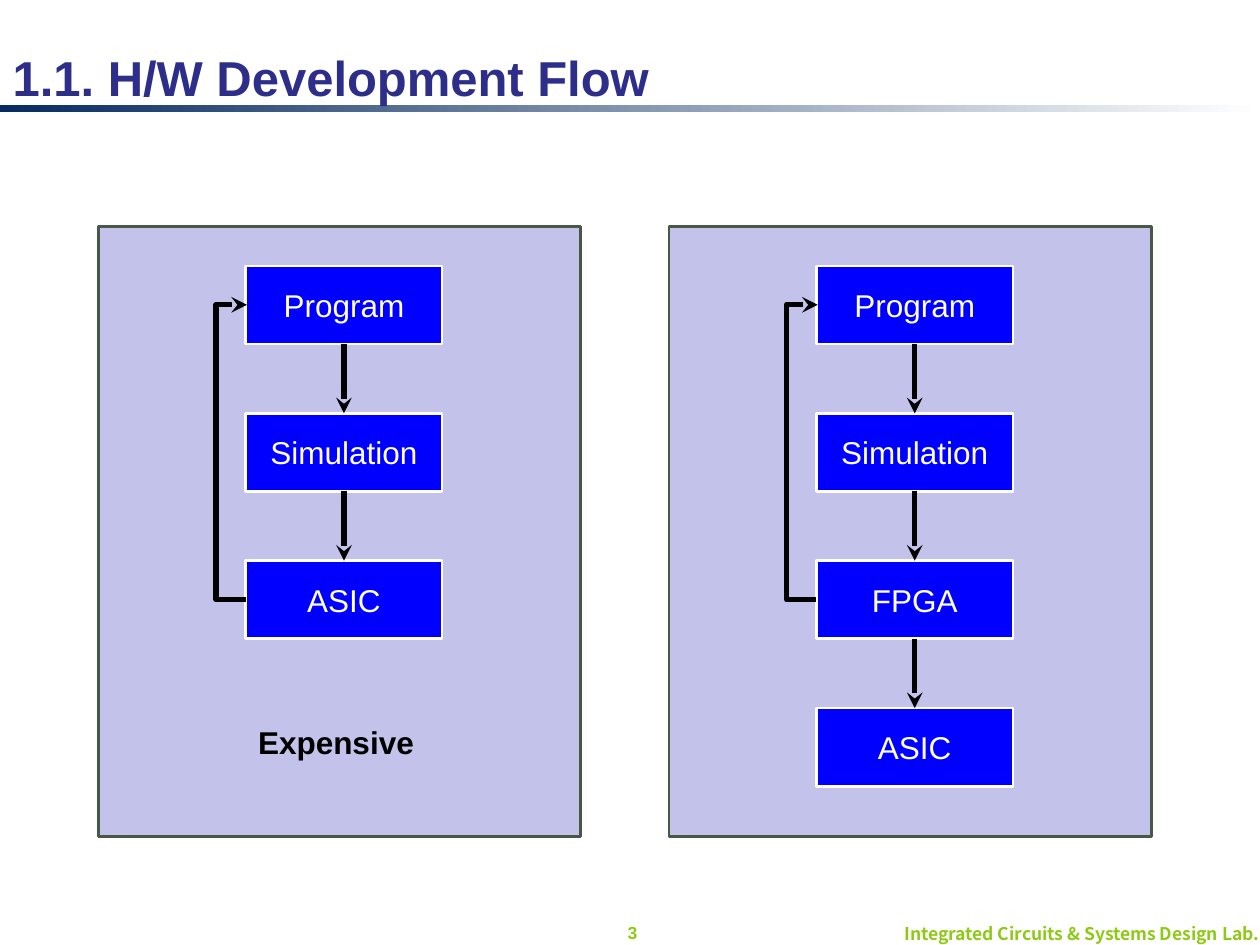
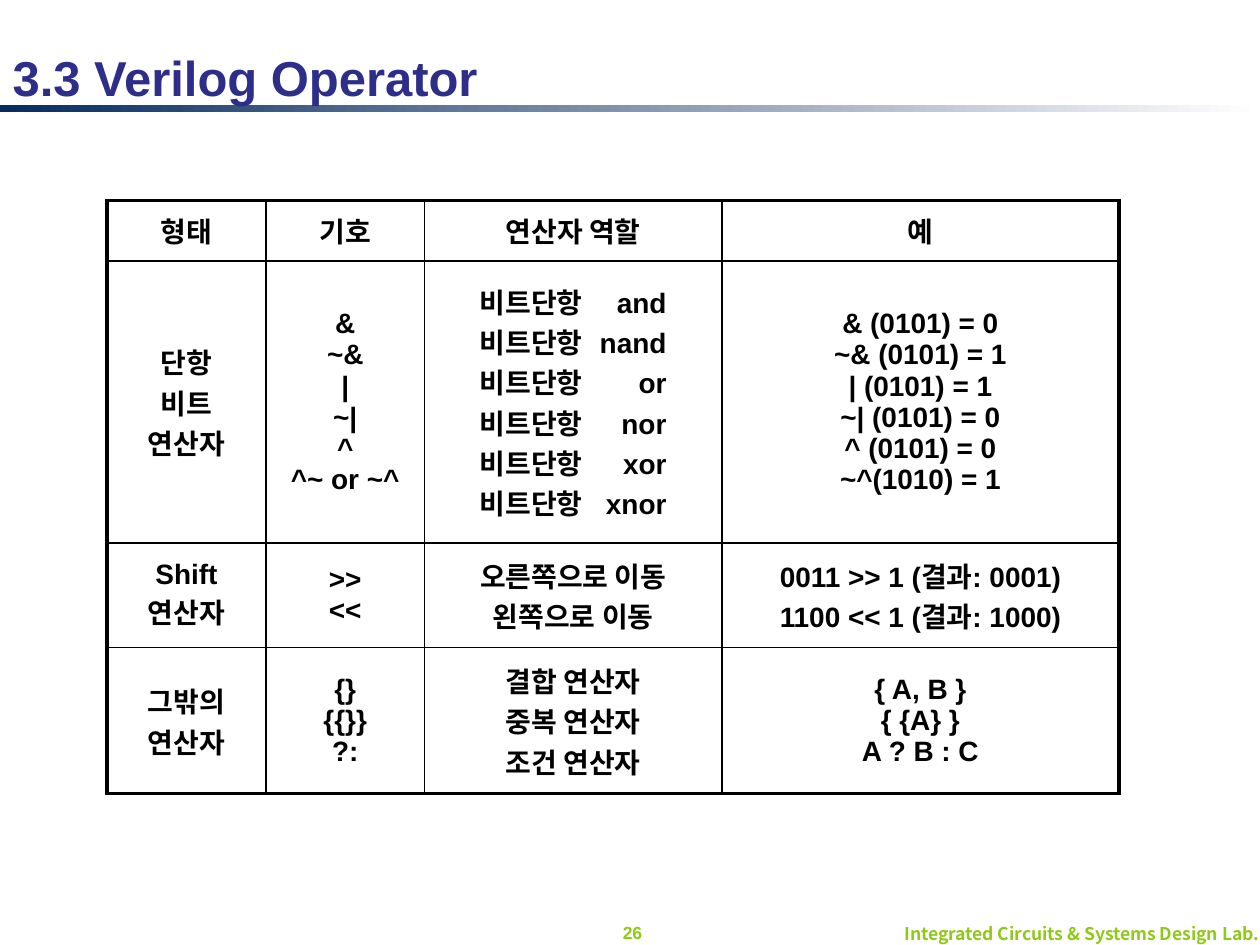
from dataclasses import dataclass
from typing import NamedTuple

from pptx import Presentation
from pptx import util as u
from pptx.dml import color as dml
from pptx.enum import shapes, text
from pptx.oxml import ns, xmlchemy as xc


@dataclass(frozen=True)
class Theme:
    """Colours, fonts and type sizes in points."""
    title: str = "2D2D8A"
    band: str = "072B60"
    footer: str = "8ECA15"
    panel: str = "7373D1"
    panel_line: str = "485846"
    step: str = "0000FF"
    white: str = "FFFFFF"
    black: str = "000000"
    latin: str = "Arial"
    korean: str = "Noto Sans CJK KR"
    title_size: int = 28
    step_size: int = 18
    table_size: int = 16
    footer_size: int = 10


class Area(NamedTuple):
    left: float
    top: float
    width: float
    height: float

    def lengths(self) -> list:
        return [u.Inches(value) for value in self]


class Flow(NamedTuple):
    panel_left: float
    steps: list
    note: str = ""


THEME = Theme()
CENTER, LEFT, RIGHT = text.PP_ALIGN.CENTER, text.PP_ALIGN.LEFT, text.PP_ALIGN.RIGHT

# Flow chart measures
PANEL_TOP, PANEL_WIDTH, PANEL_HEIGHT = 1.8, 3.83, 4.84
STEP_INSET, STEP_TOP, STEP_PITCH = 1.17, 2.11, 1.17
STEP_WIDTH, STEP_HEIGHT = 1.56, 0.62
LOOP_DEPTH, LOOP_SPAN = 0.24, 0.01
TOP_SITE, LEFT_SITE, BOTTOM_SITE = 0, 1, 2

FLOWS = [
    Flow(0.78, ["Program", "Simulation", "ASIC"], "Expensive"),
    Flow(5.31, ["Program", "Simulation", "FPGA", "ASIC"]),
]

# Operator table
TABLE_AREA = Area(0.85, 1.59, 8.03, 4.71)
COLUMN_WIDTHS = [1.26, 1.26, 2.36, 3.15]
ROW_HEIGHTS = [0.48, 2.24, 0.83, 1.16]
TAB_INSET, TAB_STOP = 0.44, 1.48
UNARY_NAMES = ["and", "nand", "or", "nor", "xor", "xnor"]
OPERATORS = [
    [["형태"], ["기호"], ["연산자 역할"], ["예"]],
    [["단항", "비트", "연산자"],
     ["&", "~&", "|", "~|", "^", "^~ or ~^"],
     [f"비트단항\t{name}" for name in UNARY_NAMES],
     ["& (0101) = 0", "~& (0101) = 1", "| (0101) = 1",
      "~| (0101) = 0", "^ (0101) = 0", "~^(1010) = 1"]],
    [["Shift", "연산자"],
     [">>", "<<"],
     ["오른쪽으로 이동", "왼쪽으로 이동"],
     ["0011 >> 1 (결과: 0001)", "1100 << 1 (결과: 1000)"]],
    [["그밖의 연산자"],
     ["{}", "{{}}", "?:"],
     ["결합 연산자", "중복 연산자", "조건 연산자"],
     ["{ A, B }", "{ {A} }", "A ? B : C"]],
]


def rgb(value: str) -> dml.RGBColor:
    return dml.RGBColor.from_string(value)


def add_element(parent, tag: str, **attributes):
    """Append a drawing element to parent."""
    element = xc.OxmlElement(tag)
    for name, value in attributes.items():
        element.set(name, str(value))
    parent.append(element)
    return element


def write(frame, lines: list, size: int, color: str, align=CENTER,
          bold: bool = True, font: str = THEME.latin) -> None:
    """Fill a text frame with one paragraph per line."""
    frame.word_wrap = True
    frame.vertical_anchor = text.MSO_ANCHOR.MIDDLE
    formats = {"size": u.Pt(size), "bold": bold, "name": font}
    for index, line in enumerate(lines):
        para = frame.paragraphs[0] if index == 0 else frame.add_paragraph()
        para.alignment = align
        span = para.add_run()
        span.text = line
        for name, value in formats.items():
            setattr(span.font, name, value)
        span.font.color.rgb = rgb(color)
        add_element(span.font._element, "a:ea", typeface=THEME.korean)


def add_label(page, area: Area, label: str, size: int, color: str, **options):
    box = page.shapes.add_textbox(*area.lengths())
    write(box.text_frame, [label], size, color, **options)


def add_box(page, area: Area, fill: str, line: str = ""):
    box = page.shapes.add_shape(shapes.MSO_SHAPE.RECTANGLE, *area.lengths())
    box.shadow.inherit = False
    box.fill.solid()
    box.fill.fore_color.rgb = rgb(fill)
    if line:
        box.line.color.rgb = rgb(line)
        box.line.width = u.Pt(1.5)
    else:
        box.line.fill.background()
    return box


def add_page(deck, title: str, number: int):
    """Title-only page with the gradient band and the footer."""
    page = deck.slides.add_slide(deck.slide_layouts[5])
    band = add_box(page, Area(0, 0.83, 10, 0.06), THEME.band)
    band.fill.gradient()
    band.fill.gradient_angle = 0
    for stop, color, position in zip(band.fill.gradient_stops,
                                     (THEME.band, THEME.white), (0, 1)):
        stop.color.rgb = rgb(color)
        stop.position = position
    add_label(page, Area(0.13, 7.31, 9.96, 0.19),
              "Integrated Circuits & Systems Design Lab.",
              THEME.footer_size, THEME.footer, align=RIGHT, font=THEME.korean)
    add_label(page, Area(4.63, 7.27, 0.78, 0.27), str(number),
              THEME.footer_size, THEME.footer)

    # The title lies over the band
    heading = page.shapes.title
    for name, value in zip(("left", "top", "width", "height"),
                           Area(0, 0.36, 10, 0.5).lengths()):
        setattr(heading, name, value)
    heading.text_frame.auto_size = text.MSO_AUTO_SIZE.NONE
    write(heading.text_frame, [title], THEME.title_size, THEME.title, align=LEFT)
    page.shapes._spTree.append(heading._element)
    return page


def add_arrow(page, kind, start, start_site: int, end, end_site: int):
    """Arrow glued to two step boxes."""
    arrow = page.shapes.add_connector(kind, 0, 0, 0, 0)
    arrow.begin_connect(start, start_site)
    arrow.end_connect(end, end_site)
    arrow.line.color.rgb = rgb(THEME.black)
    arrow.line.width = u.Pt(3)
    add_element(arrow.line._get_or_add_ln(), "a:tailEnd", type="stealth")
    add_element(arrow._element.spPr, "a:effectLst")
    return arrow


def add_flow(page, flow: Flow) -> None:
    panel = add_box(page, Area(flow.panel_left, PANEL_TOP, PANEL_WIDTH, PANEL_HEIGHT),
                    THEME.panel, THEME.panel_line)
    tint = panel._element.spPr.find(".//" + ns.qn("a:srgbClr"))
    add_element(tint, "a:alpha", val=43000)

    # Step boxes
    left = flow.panel_left + STEP_INSET
    boxes = []
    for index, step in enumerate(flow.steps):
        area = Area(left, STEP_TOP + index * STEP_PITCH, STEP_WIDTH, STEP_HEIGHT)
        box = add_box(page, area, THEME.step, THEME.white)
        write(box.text_frame, [step], THEME.step_size, THEME.white, bold=False)
        boxes.append(box)

    # Arrows down, then the loop from the third step back to the first
    for upper, lower in zip(boxes, boxes[1:]):
        add_arrow(page, shapes.MSO_CONNECTOR.STRAIGHT,
                  upper, BOTTOM_SITE, lower, TOP_SITE)
    loop = add_arrow(page, shapes.MSO_CONNECTOR.ELBOW,
                     boxes[2], LEFT_SITE, boxes[0], LEFT_SITE)
    loop.end_x = loop.begin_x + u.Inches(LOOP_SPAN)
    bend = round(-LOOP_DEPTH / LOOP_SPAN * 100000)
    guides = loop._element.spPr.prstGeom.get_or_add_avLst()
    add_element(guides, "a:gd", name="adj1", fmla=f"val {bend}")

    if flow.note:
        add_label(page, Area(left, 5.69, 2.17, 0.4), flow.note,
                  THEME.step_size, THEME.black, align=LEFT)


def add_borders(cell, edges: dict) -> None:
    properties = cell._tc.get_or_add_tcPr()
    for edge, is_outer in edges.items():
        line = add_element(properties, f"a:ln{edge}",
                           w=u.Pt(2.25 if is_outer else 1))
        add_element(add_element(line, "a:solidFill"), "a:srgbClr", val=THEME.black)


def add_operator_table(page) -> None:
    rows, columns = len(ROW_HEIGHTS), len(COLUMN_WIDTHS)
    table = page.shapes.add_table(rows, columns, *TABLE_AREA.lengths()).table
    table.first_row = table.horz_banding = False
    for column, width in zip(table.columns, COLUMN_WIDTHS):
        column.width = u.Inches(width)
    for row, height in zip(table.rows, ROW_HEIGHTS):
        row.height = u.Inches(height)

    for r, row_texts in enumerate(OPERATORS):
        for c, lines in enumerate(row_texts):
            cell = table.cell(r, c)
            add_borders(cell, {"L": c == 0, "R": c == columns - 1,
                               "T": r == 0, "B": r == rows - 1})
            cell.fill.background()
            tabbed = "\t" in lines[0]
            write(cell.text_frame, lines, THEME.table_size, THEME.black,
                  align=LEFT if tabbed else CENTER)
            cell.vertical_anchor = text.MSO_ANCHOR.MIDDLE
            if tabbed:
                cell.margin_left = u.Inches(TAB_INSET)
                for para in cell.text_frame.paragraphs:
                    stops = add_element(para._p.get_or_add_pPr(), "a:tabLst")
                    add_element(stops, "a:tab", pos=u.Inches(TAB_STOP), algn="r")


def main() -> None:
    deck = Presentation()
    deck.slide_width, deck.slide_height = u.Inches(10), u.Inches(7.5)

    flow_page = add_page(deck, "1.1. H/W Development Flow", 3)
    for flow in FLOWS:
        add_flow(flow_page, flow)

    add_operator_table(add_page(deck, "3.3 Verilog Operator", 26))
    deck.save("out.pptx")


if __name__ == "__main__":
    main()
